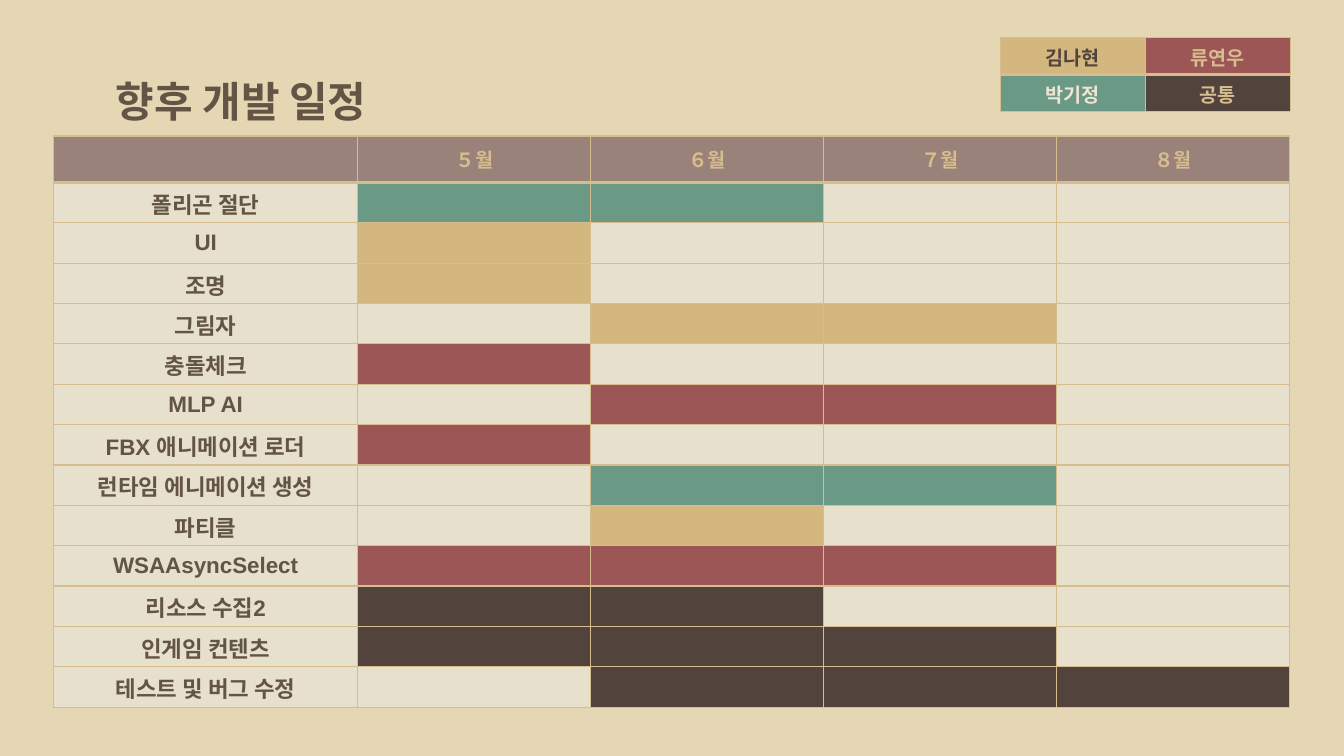
from pptx import Presentation
from pptx import util as u
from pptx.dml.color import RGBColor
from pptx.enum import text
from pptx.oxml import parse_xml
from pptx.oxml.ns import nsdecls

SAND = RGBColor(0xE5, 0xD7, 0xB4)
CREAM = RGBColor(0xE6, 0xE0, 0xCD)
PALE = RGBColor(0xEF, 0xE5, 0xD2)
TAUPE = RGBColor(0x98, 0x82, 0x79)
BROWN = RGBColor(0x63, 0x54, 0x45)
DARK = RGBColor(0x52, 0x44, 0x3D)
GOLD = RGBColor(0xD4, 0xB6, 0x7F)
LINE = RGBColor(0xD7, 0xBD, 0x8E)
RED = RGBColor(0x9C, 0x56, 0x56)
GREEN = RGBColor(0x6A, 0x99, 0x86)

MONTHS = ["５월", "６월", "７월", "８월"]
TASKS = [
    ("폴리곤 절단", GREEN, 1, 2),
    ("UI", GOLD, 1, 1),
    ("조명", GOLD, 1, 1),
    ("그림자", GOLD, 2, 3),
    ("충돌체크", RED, 1, 1),
    ("MLP AI", RED, 2, 3),
    ("FBX 애니메이션 로더", RED, 1, 1),
    ("런타임 에니메이션 생성", GREEN, 2, 3),
    ("파티클", GOLD, 2, 2),
    ("WSAAsyncSelect", RED, 1, 3),
    ("리소스 수집2", DARK, 1, 2),
    ("인게임 컨텐츠", DARK, 1, 3),
    ("테스트 및 버그 수정", DARK, 2, 4),
]
LEGEND = [
    [("김나현", GOLD, DARK), ("류연우", RED, LINE)],
    [("박기정", GREEN, PALE), ("공통", DARK, LINE)],
]


def write(tf, words, size=14, color=LINE, font="Arial", align=text.PP_ALIGN.CENTER):
    p = tf.paragraphs[0]
    p.alignment = align
    r = p.add_run()
    r.text = words
    r.font.size = u.Pt(size)
    r.font.bold = True
    r.font.name = font
    r.font.color.rgb = color


def paint(cell, color, bottom=1):
    cell.fill.solid()
    cell.fill.fore_color.rgb = color
    cell.vertical_anchor = text.MSO_ANCHOR.MIDDLE
    tcPr = cell._tc.get_or_add_tcPr()
    for i, (side, width) in enumerate(zip("LRTB", (1, 1, 1, bottom))):
        tcPr.insert(i, parse_xml(
            f'<a:ln{side} {nsdecls("a")} w="{u.Pt(width)}"><a:solidFill>'
            f'<a:srgbClr val="{LINE}"/></a:solidFill></a:ln{side}>'))


prs = Presentation()
prs.slide_width = u.Inches(13.33)
prs.slide_height = u.Inches(7.5)
s = prs.slides.add_slide(prs.slide_layouts[6])
s.background.fill.solid()
s.background.fill.fore_color.rgb = SAND

title = s.shapes.add_textbox(u.Inches(1.05), u.Inches(0.65), u.Inches(7.93), u.Inches(0.84))
tf = title.text_frame
tf.word_wrap = True
tf.margin_left = tf.margin_right = tf.margin_top = tf.margin_bottom = u.Inches(0.1)
write(tf, "향후 개발 일정", size=30, color=BROWN, font="TeX Gyre Schola",
      align=text.PP_ALIGN.LEFT)

schedule = s.shapes.add_table(len(TASKS) + 1, len(MONTHS) + 1, u.Inches(0.53),
                              u.Inches(1.35), u.Inches(12.27), u.Inches(5.64)).table
schedule.first_row = schedule.horz_banding = False
for i, col in enumerate(schedule.columns):
    col.width = u.Inches(2.31 if i else 3.02)
for i, row in enumerate(schedule.rows):
    row.height = u.Inches(0.4 if i else 0.46)

for c, month in enumerate([""] + MONTHS):
    cell = schedule.cell(0, c)
    paint(cell, TAUPE, bottom=3)
    if month:
        write(cell.text_frame, month)

for i, (task, color, first, last) in enumerate(TASKS, 1):
    for c in range(len(MONTHS) + 1):
        paint(schedule.cell(i, c), color if first <= c <= last else CREAM)
    write(schedule.cell(i, 0).text_frame, task, size=16, color=BROWN)

legend = s.shapes.add_table(2, 2, u.Inches(9.92), u.Inches(0.37),
                            u.Inches(2.88), u.Inches(0.74)).table
legend.first_row = legend.horz_banding = False
for i, members in enumerate(LEGEND):
    for c, (name, color, ink) in enumerate(members):
        cell = legend.cell(i, c)
        paint(cell, color, bottom=1 if i else 3)
        write(cell.text_frame, name, color=ink)

prs.save("out.pptx")
